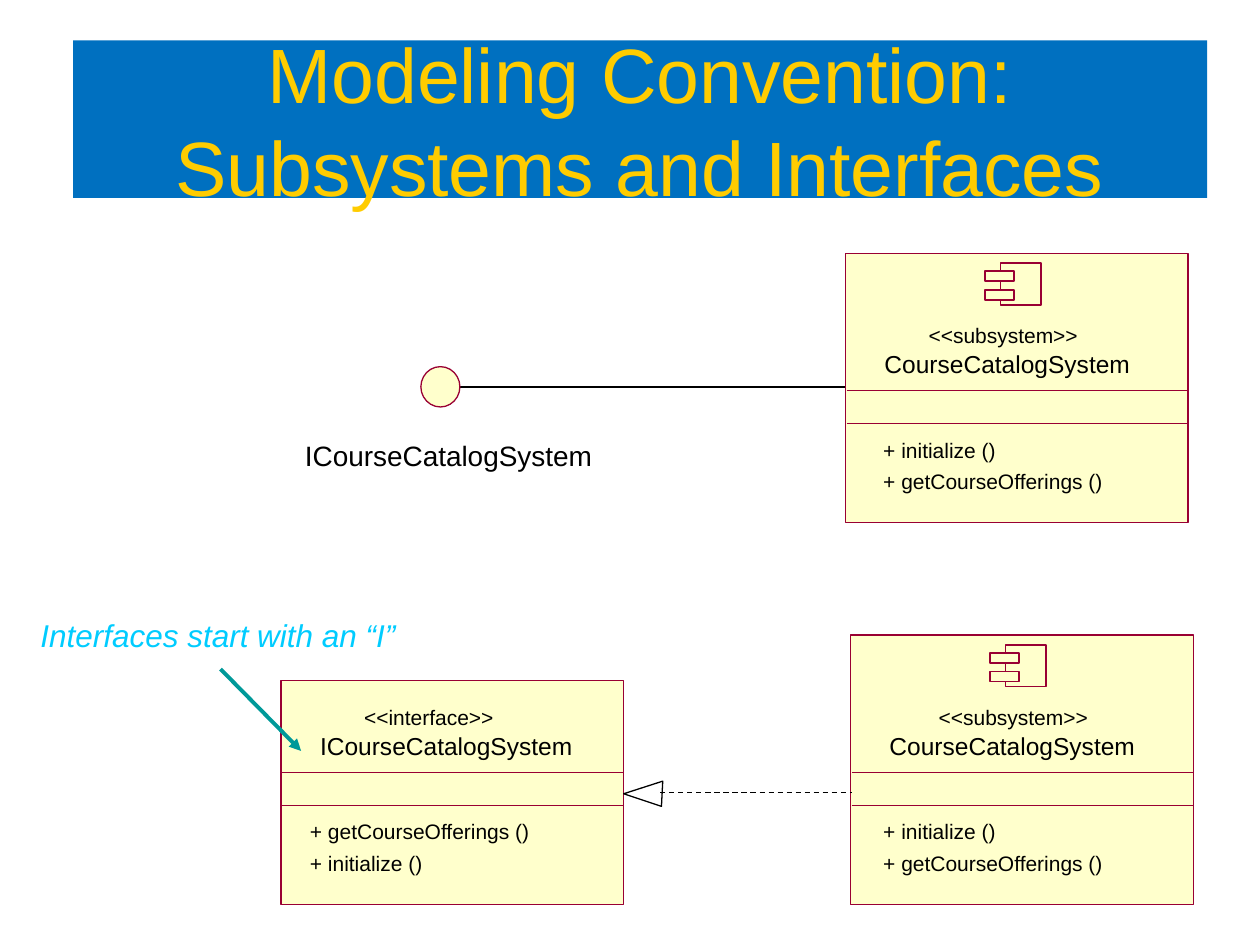
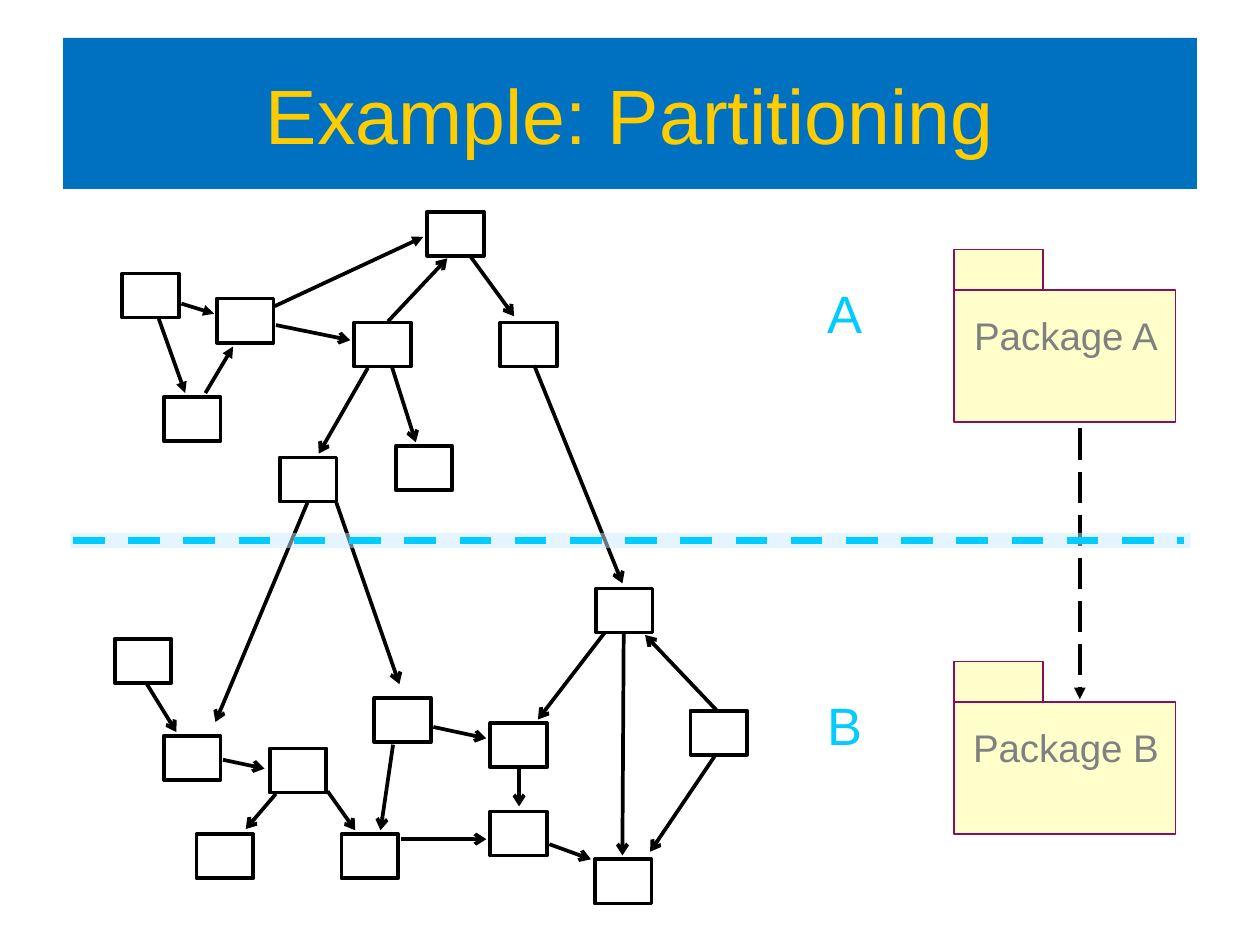
import pptx
import pptx.util
import pptx.dml.color
import pptx.enum.dml
import pptx.enum.shapes
import pptx.enum.text
import pptx.oxml.ns
import lxml.etree

PX = 9144  # EMU per px, 100 px to the inch
FONT = "Arial"
BLACK, GREY = "000000", "808080"
BLUE, GOLD, CYAN, TEAL = "0070C0", "FFCC00", "00CCFF", "009999"
CREAM, WINE, PLUM, HAZE = "FFFFCC", "990033", "8A0E5E", "CCECFF"

Kind = pptx.enum.shapes.MSO_SHAPE
Dash = pptx.enum.dml.MSO_LINE
Align = pptx.enum.text.PP_ALIGN
Pt = pptx.util.Pt
qn = pptx.oxml.ns.qn


def rgb(code):
    return pptx.dml.color.RGBColor.from_string(code)


def emu(*nums):
    return [n * PX for n in nums]


class Deck:
    """Shared style and the current slide."""

    def __init__(self):
        self.prs = pptx.Presentation()
        self.prs.slide_width, self.prs.slide_height = emu(1000, 750)

    def page(self, title, box):
        self.slide = self.prs.slides.add_slide(self.prs.slide_layouts[5])
        self.shapes = self.slide.shapes
        band = self.shapes.title
        band.left, band.top, band.width, band.height = emu(*box)
        band.fill.solid()
        band.fill.fore_color.rgb = rgb(BLUE)
        frame = band.text_frame
        frame.auto_size = pptx.enum.text.MSO_AUTO_SIZE.NONE
        frame.vertical_anchor = pptx.enum.text.MSO_ANCHOR.MIDDLE
        self.run(frame.paragraphs[0], title, 44, GOLD, Align.CENTER)

    def run(self, para, words, size, color, align=Align.LEFT, slant=False):
        para.alignment = align
        run = para.add_run()
        run.text = words
        font = run.font
        font.name, font.size, font.italic = FONT, Pt(size), slant
        font.color.rgb = rgb(color)

    def text(self, box, lines, size, color=BLACK, align=Align.LEFT,
             inset=(0, 0), wrap=False, slant=False, lead=None):
        frame = self.shapes.add_textbox(*emu(*box)).text_frame
        frame.word_wrap = wrap
        frame.margin_left = frame.margin_right = inset[0] * PX
        frame.margin_top = frame.margin_bottom = inset[1] * PX
        for i, words in enumerate(lines):
            para = frame.add_paragraph() if i else frame.paragraphs[0]
            if lead:
                para.line_spacing = Pt(lead)
            self.run(para, words, size, color, align, slant)

    def paint(self, shape, fill, edge, width):
        shape.shadow.inherit = False
        if fill:
            shape.fill.solid()
            shape.fill.fore_color.rgb = rgb(fill)
        else:
            shape.fill.background()
        if edge:
            shape.line.color.rgb = rgb(edge)
            shape.line.width = Pt(width)
        else:
            shape.line.fill.background()

    def box(self, box, fill=None, edge=None, width=1, kind=Kind.RECTANGLE, alpha=None):
        shape = self.shapes.add_shape(kind, *emu(*box))
        self.paint(shape, fill, edge, width)
        if alpha:
            tint = shape._element.spPr.find(qn("a:solidFill"))[0]
            lxml.etree.SubElement(tint, qn("a:alpha"), val=str(alpha * 1000))

    def line(self, ends, color=BLACK, width=1, dash=None, tip=None):
        link = self.shapes.add_connector(
            pptx.enum.shapes.MSO_CONNECTOR.STRAIGHT, *emu(*ends))
        link.line.color.rgb = rgb(color)
        link.line.width = Pt(width)
        if dash:
            link.line.dash_style = dash
        props = link._element.spPr
        if tip:
            lxml.etree.SubElement(props.find(qn("a:ln")), qn("a:tailEnd"), type=tip)
        lxml.etree.SubElement(props, qn("a:effectLst"))

    def outline(self, points, edge, width):
        first, *rest = [tuple(emu(*p)) for p in points]
        pen = self.shapes.build_freeform(*first, scale=1.0)
        pen.add_line_segments(rest, close=True)
        self.paint(pen.convert_to_shape(), None, edge, width)

    def unit(self, x, base, high, label, name, indent, ops, left, icon=True):
        """UML class box; text rows are measured up from its base."""
        self.box((x, base - high, 272, high), CREAM, WINE, 0)
        self.text((x + 31, base - 138, 230, 23), [name], 14, wrap=True)
        self.text((x + indent, base - 159, 150, 20), [label], 12, wrap=True)
        if icon:
            top = base - high + 8
            self.box((x + 123, top, 32, 33), CREAM, WINE)
            for drop in (6, 21):
                self.box((x + 111, top + drop, 23, 8), CREAM, WINE)
        for rise in (105, 79):
            self.line((x + 1, base - rise, x + 272, base - rise), WINE, 0.25)
        self.text((left, base - 79, 227, 62), ops, 12,
                  inset=(12, 6), wrap=True, lead=18)

    def folder(self, top, name, mark):
        """UML package with its partition letter."""
        self.box((757, top + 32, 176, 105), CREAM, PLUM)
        self.box((757, top, 71, 32), CREAM, PLUM)
        self.text((772, top + 50, 148, 37), [name], 22, GREY, Align.CENTER)
        self.text((657, top + 25, 28, 50), [mark], 30, CYAN)


def units(deck):
    deck.page("Modeling Convention: Subsystems and Interfaces", (58, 32, 900, 125))
    deck.text((20, 483, 362, 42), ["Interfaces start with an “I”"], 18, CYAN,
              inset=(12, 6), wrap=True, slant=True)

    # Class boxes
    init, get = "+ initialize ()", "+ getCourseOfferings ()"
    for x, base, indent in ((671, 415, 66), (675, 718, 70)):
        deck.unit(x, base, 214, "<<subsystem>>", "CourseCatalogSystem",
                  indent, [init, get], 689)
    deck.unit(223, 718, 178, "<<interface>>", "ICourseCatalogSystem",
              66, [get, init], 234, icon=False)

    # Lollipop form of the interface
    deck.line((363, 307, 671, 307))
    deck.box((334, 291, 31, 32), CREAM, WINE, 0, Kind.OVAL)
    deck.text((242, 348, 250, 27), ["ICourseCatalogSystem"], 16, wrap=True)

    # Realization arrow and pointer from the note
    deck.outline([(495, 630), (525, 640), (526, 620)], BLACK, 0.75)
    deck.line((524, 629, 676, 629), width=0.75, dash=Dash.DASH)
    deck.line((175, 531, 239, 596), TEAL, 2.25, tip="triangle")


def parts(deck):
    deck.page("Example: Partitioning", (50, 30, 900, 120))

    # Classes above and below the cut
    upper = [(97, 217), (130, 315), (339, 168), (172, 237), (314, 354),
             (281, 256), (222, 363), (397, 256)]
    lower = [(91, 507), (130, 584), (156, 662), (214, 594), (297, 554),
             (548, 564), (473, 467), (389, 574), (271, 662), (389, 644),
             (472, 682)]
    for x, y in upper + lower:
        deck.box((x, y, 45, 35), edge=BLACK, width=2.13)

    # Dependencies, each running toward its tip
    links = {
        "triangle": [
            (126, 253, 147, 312), (144, 241, 170, 249),
            (163, 312, 185, 275), (218, 243, 336, 188)],
        "arrow": [
            (308, 255, 355, 205), (219, 258, 278, 270), (311, 291, 330, 351),
            (292, 292, 253, 360), (116, 542, 140, 581), (244, 399, 171, 573),
            (177, 603, 210, 610), (219, 630, 195, 658), (267, 399, 317, 543),
            (373, 203, 408, 251), (424, 290, 494, 463), (569, 564, 512, 504),
            (344, 577, 386, 586), (480, 502, 427, 571), (260, 628, 282, 659),
            (312, 591, 302, 659), (412, 610, 412, 640), (318, 666, 386, 666),
            (495, 503, 494, 679), (568, 599, 516, 676), (436, 670, 469, 682)],
    }
    for tip, runs in links.items():
        for ends in runs:
            deck.line(ends, width=2.13, tip=tip)

    # Packages
    deck.folder(198, "Package A", "A")
    deck.folder(525, "Package B", "B")
    deck.line((857, 340, 857, 555), width=2.25, dash=Dash.LONG_DASH, tip="triangle")

    # Cut line
    deck.box((56, 423, 889, 12), HAZE, alpha=50)
    deck.line((58, 429, 940, 429), CYAN, 4.5, Dash.DASH)


def main():
    deck = Deck()
    units(deck)
    parts(deck)
    deck.prs.save("out.pptx")


if __name__ == "__main__":
    main()
